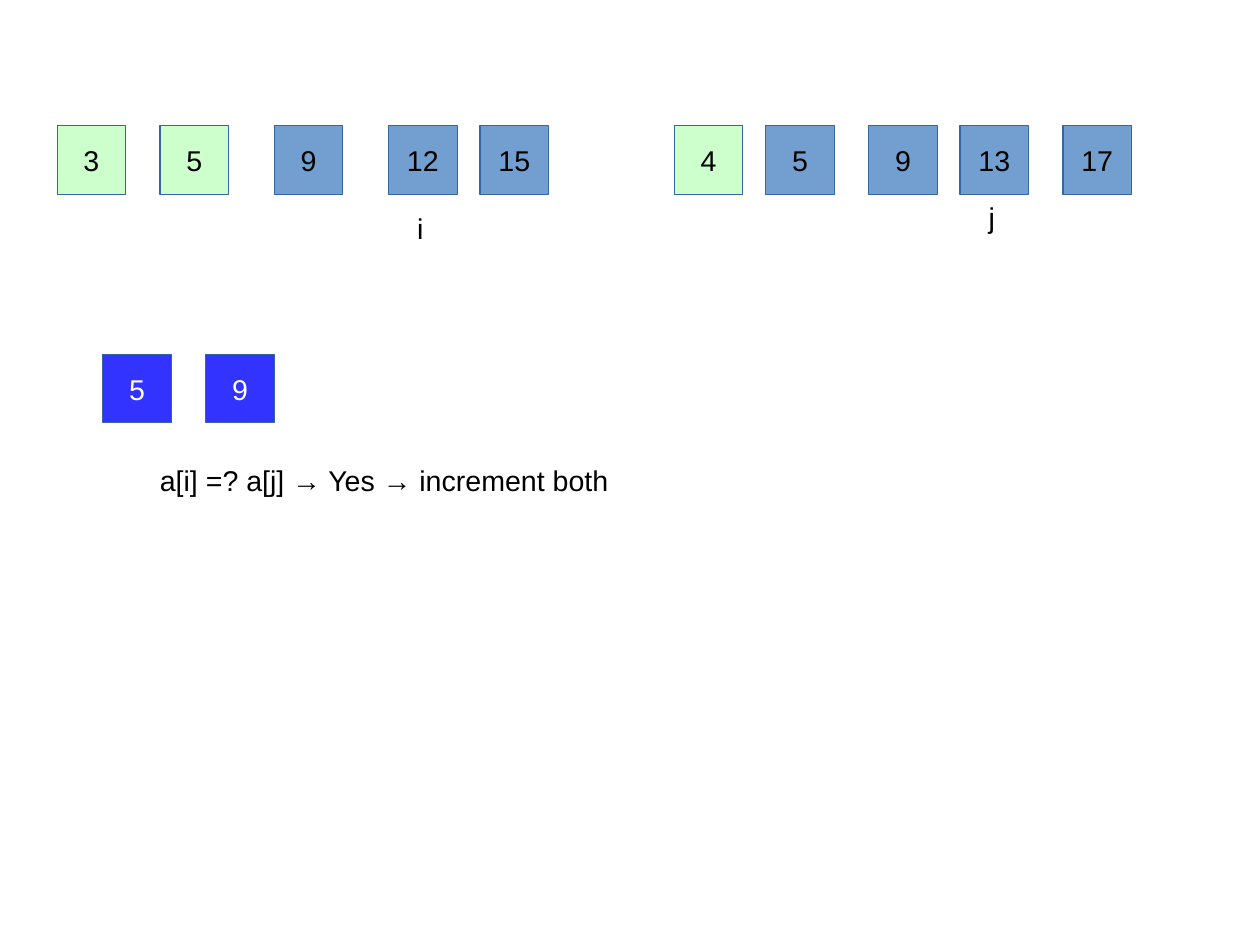
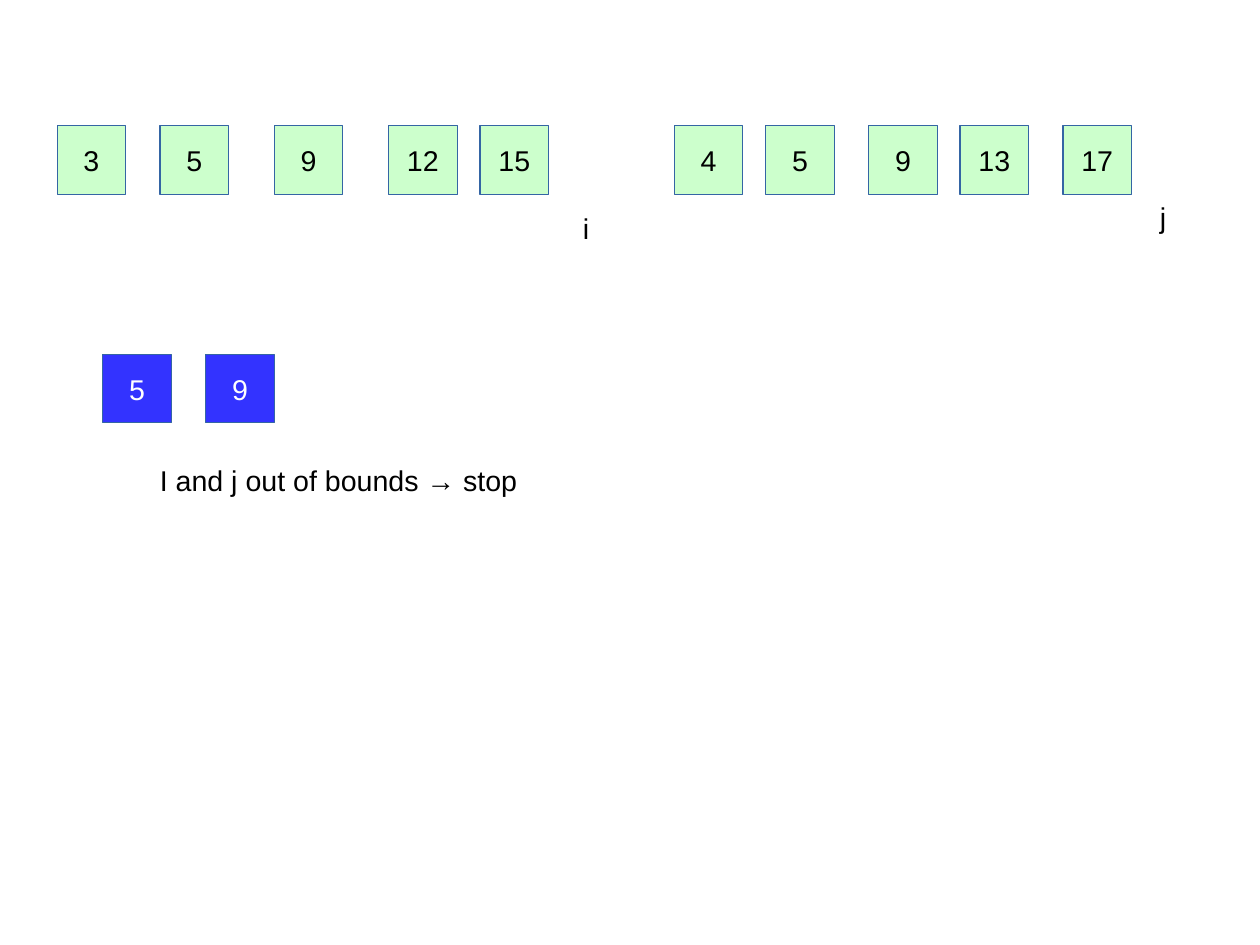
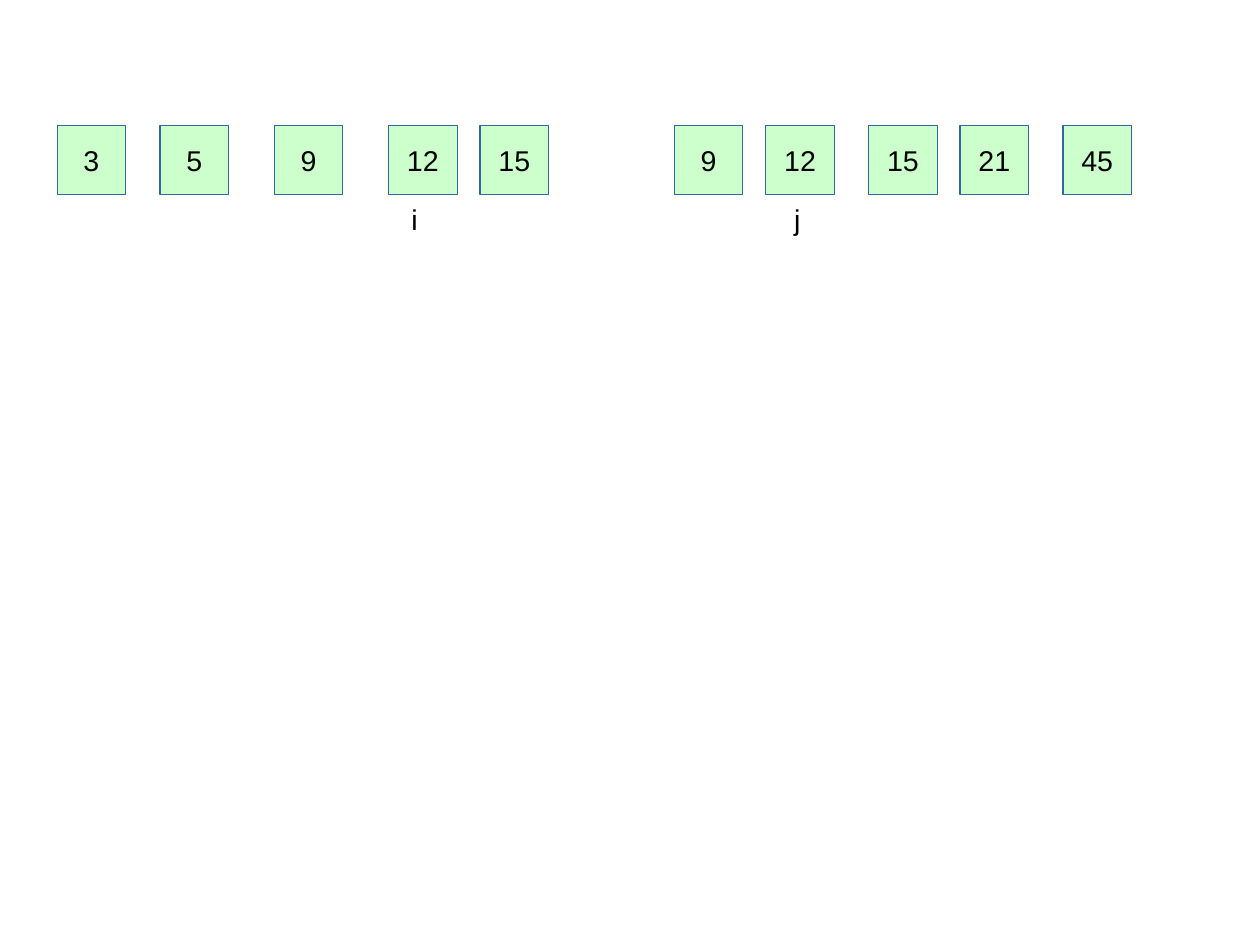
from pptx import Presentation
from pptx.dml.color import RGBColor
from pptx.enum.shapes import MSO_SHAPE
from pptx.enum.text import MSO_ANCHOR, MSO_AUTO_SIZE, PP_ALIGN
from pptx.util import Pt

COLORS = {
    "visited": "CCFFCC",
    "pending": "729FCF",
    "common": "3333FF",
    "outline": "3465A4",
    "dark": "000000",
    "light": "FFFFFF",
}
FONT = "Arial"
BOX = 43.2
ARRAY_TOP = 79.2
COMMON_TOP = 223.2
LEFT_XS = [36, 100.8, 172.8, 244.8, 302.4]
RIGHT_XS = [424.8, 482.4, 547.2, 604.8, 669.6]
COMMON_XS = [64.8, 129.6]

SLIDES = [
    {
        "arrays": [([3, 5, 9, 12, 15], 2), ([4, 5, 9, 13, 17], 1)],
        "common": [5, 9],
        "labels": [
            ("i", 255.6, 129.6, 25.2, 27.36),
            ("j", 615.6, 122.4, 25.2, 27.36),
            ("a[i] =? a[j] → Yes → increment both", 93.6, 288, 300, 47.52),
        ],
    },
    {
        "arrays": [([3, 5, 9, 12, 15], 5), ([4, 5, 9, 13, 17], 5)],
        "common": [5, 9],
        "labels": [
            ("i", 360, 129.6, 25.2, 27.36),
            ("j", 723.6, 122.4, 25.2, 27.36),
            ("I and j out of bounds → stop", 93.6, 288, 243, 47.52),
        ],
    },
    {
        "arrays": [([3, 5, 9, 12, 15], 5), ([9, 12, 15, 21, 45], 5)],
        "common": [],
        "labels": [
            ("i", 252, 123.84, 25.2, 27.36),
            ("j", 493.2, 123.84, 25.2, 27.36),
        ],
    },
]


def add_text(tf, text, color):
    p = tf.paragraphs[0]
    r = p.add_run()
    r.text = text
    r.font.name = FONT
    r.font.size = Pt(18)
    r.font.color.rgb = RGBColor.from_string(COLORS[color])
    return p


def add_box(s, value, x, y, fill, color):
    sp = s.shapes.add_shape(MSO_SHAPE.RECTANGLE, Pt(x), Pt(y), Pt(BOX), Pt(BOX))
    sp.shadow.inherit = False
    sp.fill.solid()
    sp.fill.fore_color.rgb = RGBColor.from_string(COLORS[fill])
    sp.line.color.rgb = RGBColor.from_string(COLORS["outline"])
    sp.line.width = Pt(0)
    tf = sp.text_frame
    tf.word_wrap = False
    tf.vertical_anchor = MSO_ANCHOR.MIDDLE
    add_text(tf, str(value), color).alignment = PP_ALIGN.CENTER


prs = Presentation()
prs.slide_width = Pt(793.7)
prs.slide_height = Pt(595.28)

for content in SLIDES:
    s = prs.slides.add_slide(prs.slide_layouts[6])

    for (values, visited), xs in zip(content["arrays"], [LEFT_XS, RIGHT_XS]):
        for n, (value, x) in enumerate(zip(values, xs)):
            fill = "visited" if n < visited else "pending"
            add_box(s, value, x, ARRAY_TOP, fill, "dark")

    for text, x, y, w, h in content["labels"]:
        sp = s.shapes.add_textbox(Pt(x), Pt(y), Pt(w), Pt(h))
        tf = sp.text_frame
        tf.word_wrap = True
        tf.auto_size = MSO_AUTO_SIZE.SHAPE_TO_FIT_TEXT
        add_text(tf, text, "dark")

    for value, x in zip(content["common"], COMMON_XS):
        add_box(s, value, x, COMMON_TOP, "common", "light")

prs.save("out.pptx")
